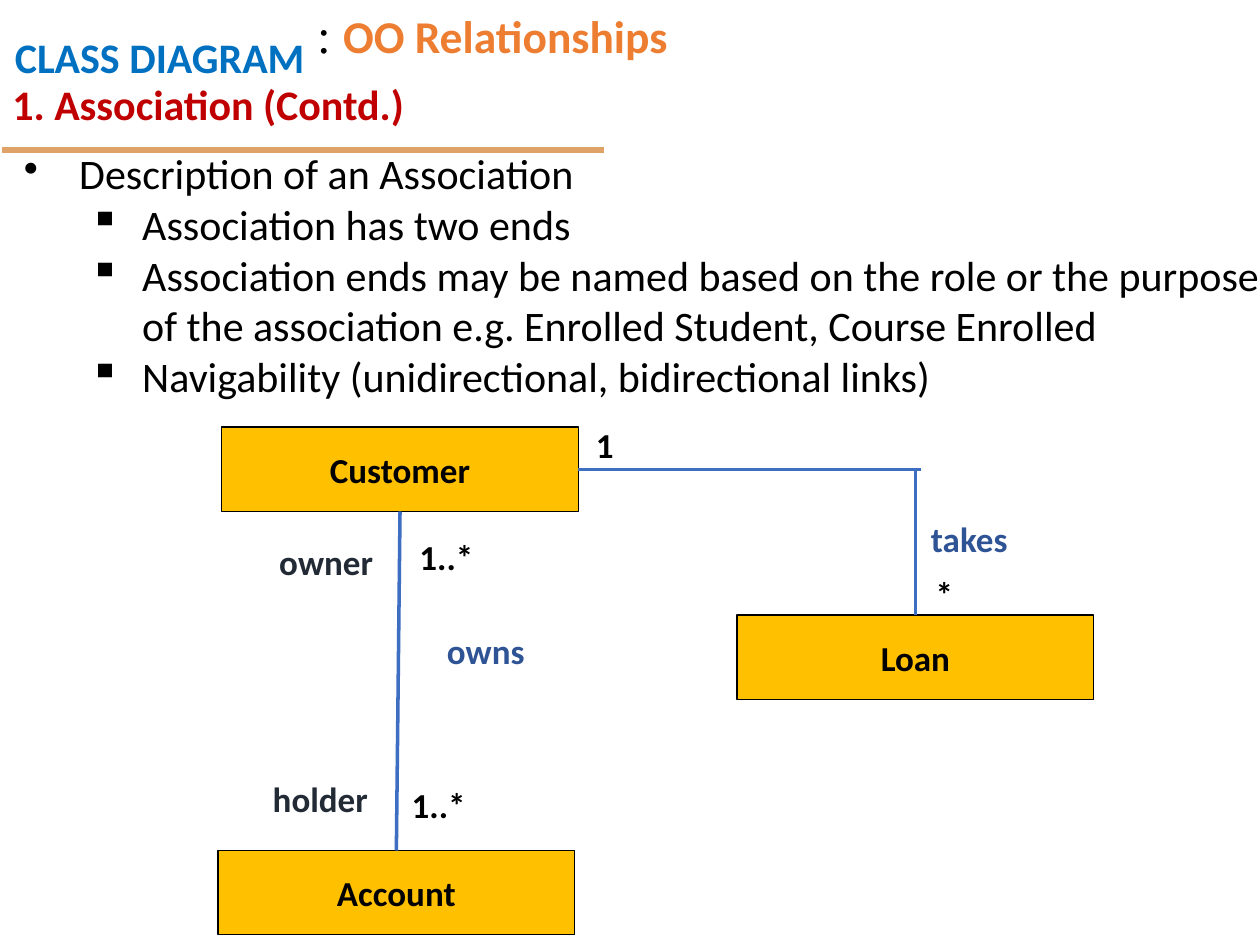
from lxml import etree
from pptx import Presentation
from pptx.dml.color import RGBColor
from pptx.enum.shapes import MSO_CONNECTOR, MSO_SHAPE
from pptx.enum.text import MSO_ANCHOR, PP_ALIGN
from pptx.oxml.ns import qn
from pptx.util import Pt

LEFT, CENTER, RIGHT = PP_ALIGN.LEFT, PP_ALIGN.CENTER, PP_ALIGN.RIGHT
MIDDLE = MSO_ANCHOR.MIDDLE
RECT = MSO_SHAPE.RECTANGLE
STRAIGHT = MSO_CONNECTOR.STRAIGHT
TOP_SIDE, BOTTOM_SIDE, RIGHT_SIDE = 0, 2, 3

COLORS = {
    "black": "000000", "white": "FFFFFF", "blue": "0070C0", "orange": "ED7D31",
    "red": "C00000", "tan": "DFA267", "gold": "FFC000", "link": "3E6EC2",
    "verb": "2F5496", "role": "222A35",
}

TITLE = [
    (174.2, 0, [(": ", 28, "Times New Roman", "black", False),
                ("OO Relationships", 26, "Calibri", "orange", True)]),
    (0, 8.4, [("1. Association (Contd.)", 24, "Calibri", "red", True)]),
]
BULLETS = [
    (0, "Description of an Association"),
    (1, "Association has two ends"),
    (1, "Association ends may be named based on the role or the purpose "
        "of the association e.g. Enrolled Student, Course Enrolled"),
    (1, "Navigability (unidirectional, bidirectional links)"),
]
BULLET_STYLES = [("•", 36, -31.7, 0.9), ("▪", 72, -30.2, 1)]

CLASS_SIZE = (203.8, 48.2)
CLASSES = {"Customer": (126.7, 244.1), "Account": (124.6, 486), "Loan": (421.2, 351.4)}
LABELS = [
    ("*", 514.8, 321.1, 49.7, 36, CENTER, "black"),
    ("1..*", 232.6, 293.8, 77.8, 48.2, LEFT, "black"),
    ("owns", 229.7, 347.8, 95.8, 48.2, CENTER, "verb"),
    ("owner", 118.1, 296.6, 102.2, 48.2, RIGHT, "role"),
    ("holder", 109.4, 432, 108, 48.2, RIGHT, "role"),
    ("1", 333.4, 241.9, 23.8, 23.8, LEFT, "black"),
    ("takes", 524.9, 283.7, 89.3, 48.2, LEFT, "verb"),
    ("1..*", 228.2, 435.6, 72, 48.2, LEFT, "black"),
]


def rgb(name):
    return RGBColor.from_string(COLORS[name])


def add_run(p, text, size, font, color, bold):
    r = p.add_run()
    r.text = text
    r.font.size = Pt(size)
    r.font.name = font
    r.font.bold = bold
    r.font.color.rgb = rgb(color)


def add_text_box(s, x, y, w, h):
    tf = s.shapes.add_textbox(Pt(x), Pt(y), Pt(w), Pt(h)).text_frame
    tf.word_wrap = True
    return tf


def next_paragraph(tf, i):
    return tf.add_paragraph() if i else tf.paragraphs[0]


def add_rect(s, text, x, y, w, h, align, color, fill, line):
    sp = s.shapes.add_shape(RECT, Pt(x), Pt(y), Pt(w), Pt(h))
    sp.shadow.inherit = False
    sp.fill.solid()
    sp.fill.fore_color.rgb = rgb(fill)
    sp.line.color.rgb = rgb(line)
    sp.line.width = Pt(0.75)
    tf = sp.text_frame
    tf.word_wrap = True
    tf.vertical_anchor = MIDDLE
    p = tf.paragraphs[0]
    p.alignment = align
    add_run(p, text, 20, "Calibri", color, True)
    return sp


def add_line(s, x1, y1, x2, y2, color, width):
    line = s.shapes.add_connector(STRAIGHT, Pt(x1), Pt(y1), Pt(x2), Pt(y2))
    line.line.color.rgb = rgb(color)
    line.line.width = Pt(width)
    etree.SubElement(line._element.spPr, qn("a:effectLst"))
    return line


def add_heading(s):
    p = add_text_box(s, 1.4, 0, 532.8, 51.1).paragraphs[0]
    p.line_spacing = 1.5
    add_run(p, "CLASS DIAGRAM", 24, "Calibri", "blue", True)
    add_line(s, 1.4, 85.7, 344.9, 85.7, "tan", 3)

    tf = add_text_box(s, 0, -7.9, 540, 92.2)
    tf.vertical_anchor = MIDDLE
    for i, (margin, before, runs) in enumerate(TITLE):
        p = next_paragraph(tf, i)
        p._p.get_or_add_pPr().set("marL", str(Pt(margin)))
        p.space_before = Pt(before)
        for run in runs:
            add_run(p, *run)


def add_bullets(s):
    tf = add_text_box(s, 2.2, 84.2, 732.2, 410.4)
    for i, (level, text) in enumerate(BULLETS):
        char, margin, indent, spacing = BULLET_STYLES[level]
        p = next_paragraph(tf, i)
        p.level = level
        p.line_spacing = spacing
        pPr = p._p.get_or_add_pPr()
        pPr.set("marL", str(Pt(margin)))
        pPr.set("indent", str(Pt(indent)))
        etree.SubElement(pPr, qn("a:buChar"), char=char)
        add_run(p, text, 24, "Calibri", "black", False)


def add_diagram(s):
    for text, x, y, w, h, align, color in LABELS:
        add_rect(s, text, x, y, w, h, align, color, "white", "white")
    boxes = {
        name: add_rect(s, name, x, y, *CLASS_SIZE, CENTER, "black", "gold", "black")
        for name, (x, y) in CLASSES.items()
    }
    w, h = CLASS_SIZE
    customer_x, customer_y = CLASSES["Customer"]
    account_x, account_y = CLASSES["Account"]
    loan_x, loan_y = CLASSES["Loan"]
    corner_x, corner_y = loan_x + w / 2, customer_y + h / 2

    owns = add_line(s, customer_x + w / 2, customer_y + h,
                    account_x + w / 2, account_y, "link", 2)
    owns.begin_connect(boxes["Customer"], BOTTOM_SIDE)
    owns.end_connect(boxes["Account"], TOP_SIDE)

    across = add_line(s, customer_x + w, corner_y, corner_x + 3, corner_y, "link", 2)
    across.begin_connect(boxes["Customer"], RIGHT_SIDE)

    down = add_line(s, corner_x, corner_y, corner_x, loan_y, "link", 2)
    down.end_connect(boxes["Loan"], TOP_SIDE)


def main():
    prs = Presentation()
    prs.slide_width, prs.slide_height = Pt(720), Pt(540)
    s = prs.slides.add_slide(prs.slide_layouts[6])
    add_heading(s)
    add_bullets(s)
    add_diagram(s)
    prs.save("out.pptx")


if __name__ == "__main__":
    main()
